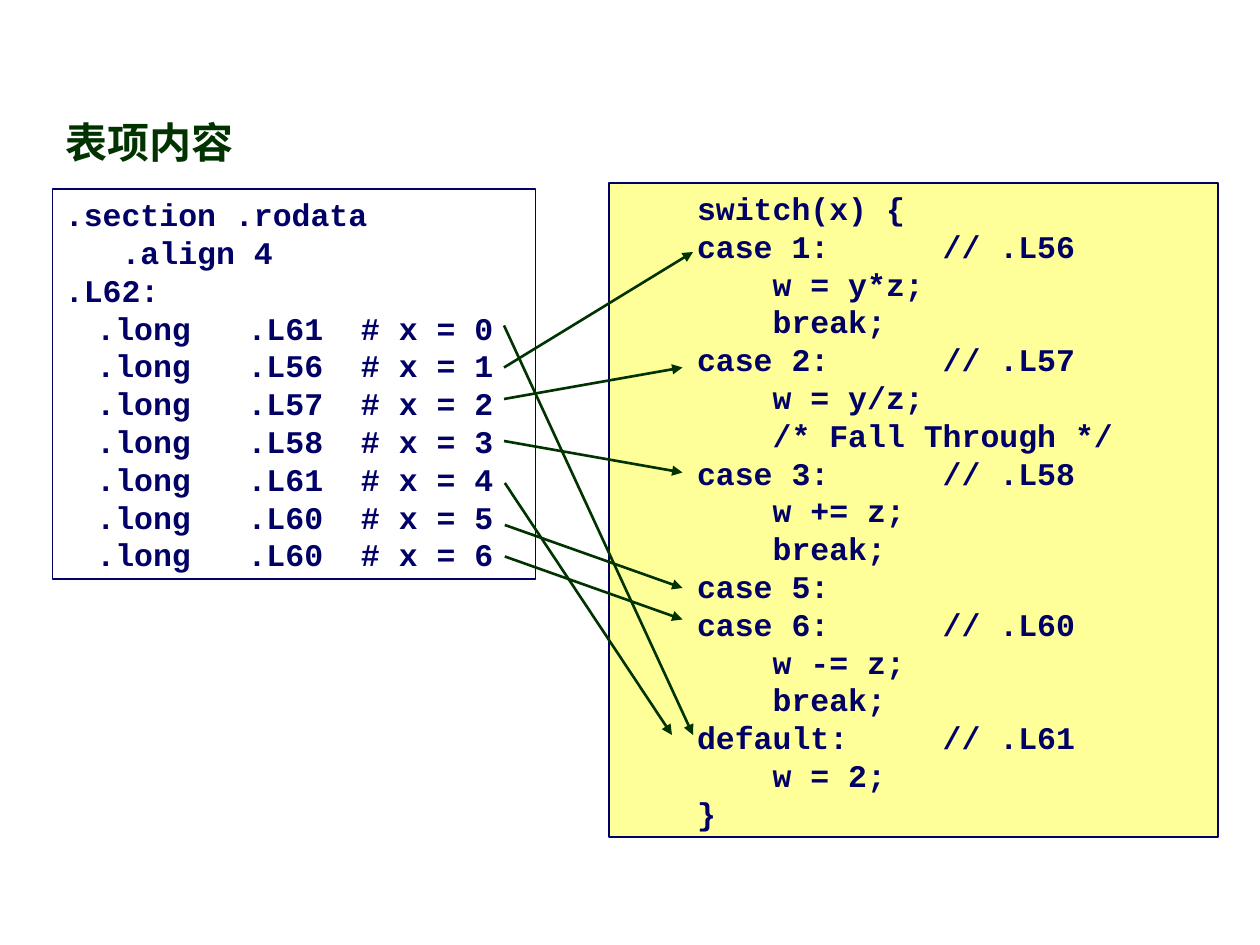
"""Build a slide that maps jump table entries to the cases of a switch statement."""
from lxml.etree import SubElement
from pptx import Presentation
from pptx.dml.color import RGBColor
from pptx.enum.shapes import MSO_CONNECTOR, MSO_SHAPE
from pptx.enum.text import MSO_ANCHOR, MSO_AUTO_SIZE, PP_ALIGN
from pptx.oxml.ns import qn
from pptx.util import Pt

NAVY = RGBColor(0x00, 0x00, 0x66)
GREEN = RGBColor(0x00, 0x33, 0x00)
YELLOW = RGBColor(0xFF, 0xFF, 0x99)

TABLE_TARGETS = ["L61", "L56", "L57", "L58", "L61", "L60", "L60"]
TABLE_CODE = [".section .rodata", "   .align 4", ".L62:"] + [
    f"\t.long   .{target}  # x = {value}" for value, target in enumerate(TABLE_TARGETS)
]
SWITCH_CODE = """\
    switch(x) {
    case 1:      // .L56
        w = y*z;
        break;
    case 2:      // .L57
        w = y/z;
        /* Fall Through */
    case 3:      // .L58
        w += z;
        break;
    case 5:
    case 6:      // .L60
        w -= z;
        break;
    default:     // .L61
        w = 2;
    }""".split("\n")


def style_span(span, size, font_name, color):
    span.font.size = Pt(size)
    span.font.name = font_name
    span.font.bold = True
    span.font.color.rgb = color


def add_code_box(page, left, top, width, height, lines, fill_color=None):
    box = page.shapes.add_shape(
        MSO_SHAPE.RECTANGLE, Pt(left), Pt(top), Pt(width), Pt(height))
    box.shadow.inherit = False
    if fill_color is None:
        box.fill.background()
    else:
        box.fill.solid()
        box.fill.fore_color.rgb = fill_color
    box.line.color.rgb = NAVY
    box.line.width = Pt(1)
    frame = box.text_frame
    frame.word_wrap = True
    frame.vertical_anchor = MSO_ANCHOR.TOP
    for number, line in enumerate(lines):
        paragraph = frame.add_paragraph() if number else frame.paragraphs[0]
        paragraph.alignment = PP_ALIGN.LEFT
        paragraph.line_spacing = Pt(21.6)
        if line.startswith("\t"):
            tabs = SubElement(paragraph._p.get_or_add_pPr(), qn("a:tabLst"))
            SubElement(tabs, qn("a:tab"), pos=str(Pt(18)), algn="l")
        span = paragraph.add_run()
        span.text = line
        style_span(span, 18, "Courier New", NAVY)


deck = Presentation()
deck.slide_width, deck.slide_height = Pt(720), Pt(540)
page = deck.slides.add_slide(deck.slide_layouts[5])

add_code_box(page, 30, 108, 276, 223, TABLE_CODE)

title = page.shapes.title
title.left, title.top, title.width, title.height = Pt(30), Pt(66), Pt(271), Pt(32.5)
title.text_frame.auto_size = MSO_AUTO_SIZE.NONE
title.text_frame.vertical_anchor = MSO_ANCHOR.TOP
heading = title.text_frame.paragraphs[0]
heading.alignment = PP_ALIGN.LEFT
heading.line_spacing = 0.9
span = heading.add_run()
span.text = "表项内容"
style_span(span, 24, "Arial", GREEN)

add_code_box(page, 348, 104.5, 348, 374, SWITCH_CODE, YELLOW)

ARROWS = [
    (288, 186, 396, 420),
    (288, 210, 396, 144),
    (288, 228, 390, 210),
    (288, 252, 390, 270),
    (288.5, 276, 384, 420),
    (288.5, 300, 390, 336),
    (288.5, 318, 390, 354),
]
for ends in ARROWS:
    arrow = page.shapes.add_connector(MSO_CONNECTOR.STRAIGHT, *map(Pt, ends))
    arrow.line.color.rgb = GREEN
    arrow.line.width = Pt(1.5)
    SubElement(arrow.line._get_or_add_ln(), qn("a:tailEnd"), type="triangle")
    SubElement(arrow._element.spPr, qn("a:effectLst"))

deck.save("out.pptx")
